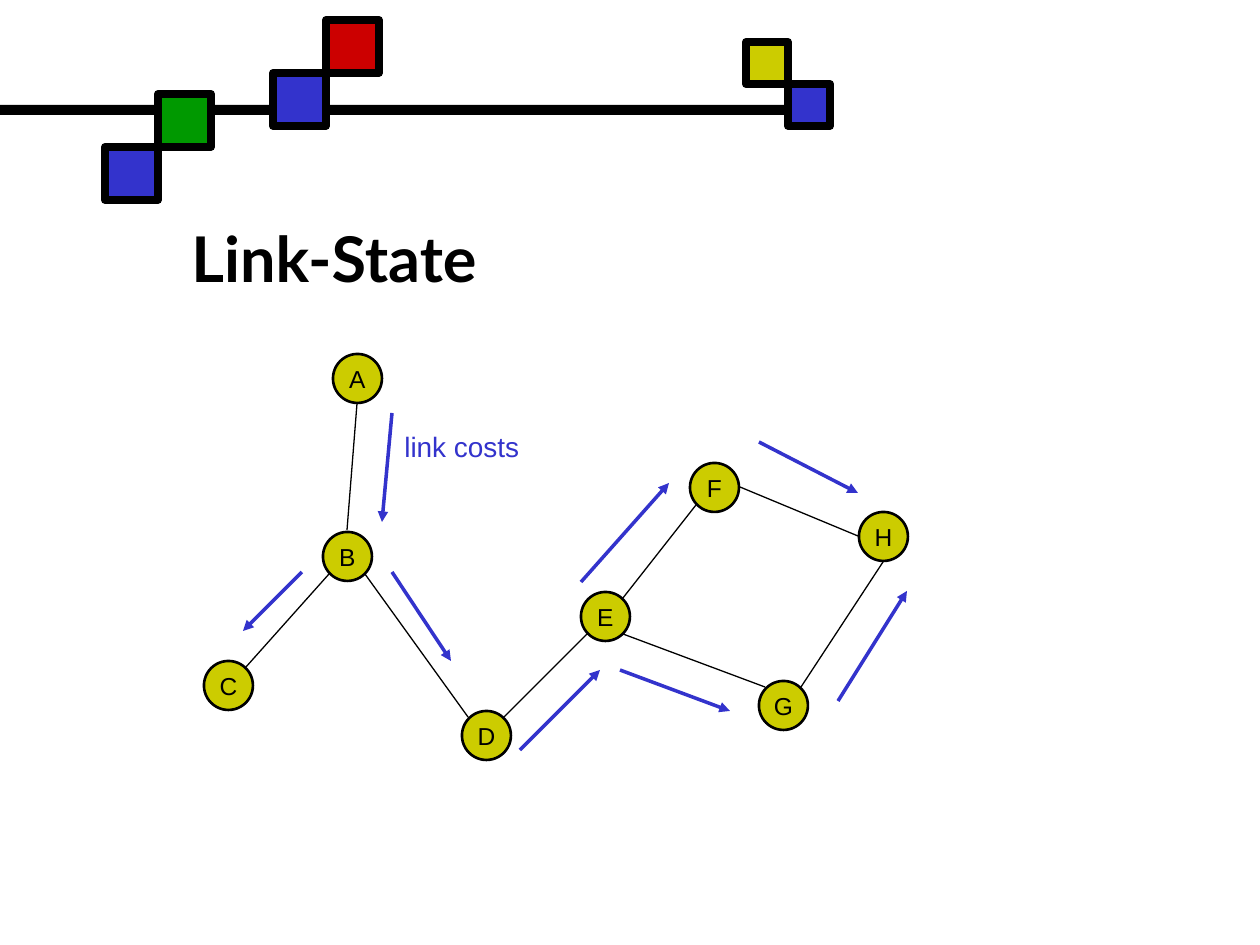
from dataclasses import dataclass
from math import cos, radians, sin

from lxml import etree
from pptx import Presentation
from pptx import util as u
from pptx.dml.color import RGBColor
from pptx.enum import shapes, text
from pptx.oxml import ns

EMU_PER_PX = 914400 / 126


@dataclass(frozen=True)
class Theme:
    black: str = "000000"
    blue: str = "3333CC"
    yellow: str = "CCCC00"
    green: str = "009900"
    red: str = "CC0000"
    title_font: str = "Lato"
    body_font: str = "Arial"
    title_size: int = 36
    label_size: int = 16
    node_size: int = 14


def px(length):
    return u.Emu(round(length * EMU_PER_PX))


def write_text(shape, words, *, font, size, color, bold=False, align=text.PP_ALIGN.LEFT,
               anchor=text.MSO_ANCHOR.TOP, wrap=True):
    frame = shape.text_frame
    frame.word_wrap = wrap
    frame.vertical_anchor = anchor
    para = frame.paragraphs[0]
    para.alignment = align
    span = para.add_run()
    span.text = words
    span.font.name = font
    span.font.size = u.Pt(size)
    span.font.bold = bold
    span.font.color.rgb = RGBColor.from_string(color)


class Painter:
    node_diameter = 49

    def __init__(self, page, theme):
        self.page = page
        self.theme = theme

    def shape(self, kind, left, top, width, height, fill, line_width=0):
        shape = self.page.shapes.add_shape(kind, px(left), px(top), px(width), px(height))
        shape.shadow.inherit = False
        shape.fill.solid()
        shape.fill.fore_color.rgb = RGBColor.from_string(fill)
        if line_width:
            shape.line.color.rgb = RGBColor.from_string(self.theme.black)
            shape.line.width = u.Pt(line_width)
        else:
            shape.line.fill.background()
        return shape

    def bar(self, left, top, width, height):
        self.shape(shapes.MSO_SHAPE.RECTANGLE, left, top, width, height, self.theme.black)

    def square_pair(self, left, top, side, rise, fills):
        for step, fill in enumerate(fills):
            self.shape(shapes.MSO_SHAPE.RECTANGLE, left + step * side, top - step * rise,
                       side, side, fill, line_width=4.5)

    def node(self, name, center):
        x, y = center
        radius = self.node_diameter // 2
        circle = self.shape(shapes.MSO_SHAPE.OVAL, x - radius, y - radius,
                            self.node_diameter, self.node_diameter,
                            self.theme.yellow, line_width=1.5)
        write_text(circle, name, font=self.theme.body_font, size=self.theme.node_size,
                   color=self.theme.black, align=text.PP_ALIGN.CENTER,
                   anchor=text.MSO_ANCHOR.MIDDLE, wrap=False)

    def line(self, start, end, color, width):
        line = self.page.shapes.add_connector(
            shapes.MSO_CONNECTOR.STRAIGHT, *map(px, (*start, *end)))
        line.line.color.rgb = RGBColor.from_string(color)
        line.line.width = u.Pt(width)
        etree.SubElement(line._element.spPr, ns.qn("a:effectLst"))
        return line

    def rim_point(self, center, angle):
        radius = self.node_diameter / 2 + 1
        x, y = center
        return (round(x + radius * cos(radians(angle))),
                round(y - radius * sin(radians(angle))))

    def link(self, start, start_angle, end, end_angle):
        self.line(self.rim_point(start, start_angle), self.rim_point(end, end_angle),
                  self.theme.black, 0.75)

    def arrow(self, start, end):
        arrow = self.line(start, end, self.theme.blue, 2)
        etree.SubElement(arrow.line._get_or_add_ln(), ns.qn("a:tailEnd"), type="triangle")

    def text_box(self, words, left, top, width, height, **style):
        box = self.page.shapes.add_textbox(px(left), px(top), px(width), px(height))
        write_text(box, words, **style)


NODES = {
    "E": (605, 616), "B": (347, 556), "D": (486, 735), "G": (783, 705),
    "H": (883, 536), "F": (714, 487), "A": (357, 378), "C": (228, 685),
}

RIGHT, UP_RIGHT, UP, UP_LEFT, LEFT, DOWN_LEFT, DOWN, DOWN_RIGHT = range(0, 360, 45)

LINKS = [
    ("C", UP_RIGHT, "B", DOWN_LEFT),
    ("B", DOWN_RIGHT, "D", UP_LEFT),
    ("A", DOWN, "B", UP),
    ("D", UP_RIGHT, "E", DOWN_LEFT),
    ("E", DOWN_RIGHT, "G", UP_LEFT),
    ("H", DOWN, "G", UP_RIGHT),
    ("F", DOWN_LEFT, "E", UP_RIGHT),
    ("F", RIGHT, "H", LEFT),
]

COST_ARROWS = [
    ((392, 413), (382, 522)),
    ((392, 572), (451, 661)),
    ((302, 572), (243, 631)),
    ((520, 750), (600, 670)),
    ((581, 582), (669, 483)),
    ((620, 670), (730, 711)),
    ((838, 701), (907, 591)),
    ((759, 442), (858, 493)),
]


def main():
    theme = Theme()
    deck = Presentation()
    deck.slide_width, deck.slide_height = px(1260), px(945)
    painter = Painter(deck.slides.add_slide(deck.slide_layouts[6]), theme)

    painter.bar(0, 105, 809, 10)
    painter.square_pair(746, 42, 42, -42, (theme.yellow, theme.blue))
    painter.square_pair(273, 73, 53, 53, (theme.blue, theme.red))
    painter.square_pair(105, 147, 53, 53, (theme.blue, theme.green))

    painter.text_box("Link-State", 179, 210, 976, 94, font=theme.title_font,
                     size=theme.title_size, color=theme.black, bold=True,
                     anchor=text.MSO_ANCHOR.MIDDLE)

    for name, center in NODES.items():
        painter.node(name, center)
    for start, start_angle, end, end_angle in LINKS:
        painter.link(NODES[start], start_angle, NODES[end], end_angle)
    for start, end in COST_ARROWS:
        painter.arrow(start, end)

    painter.text_box("link costs", 392, 423, 149, 47, font=theme.body_font,
                     size=theme.label_size, color=theme.blue)

    deck.save("out.pptx")


if __name__ == "__main__":
    main()
